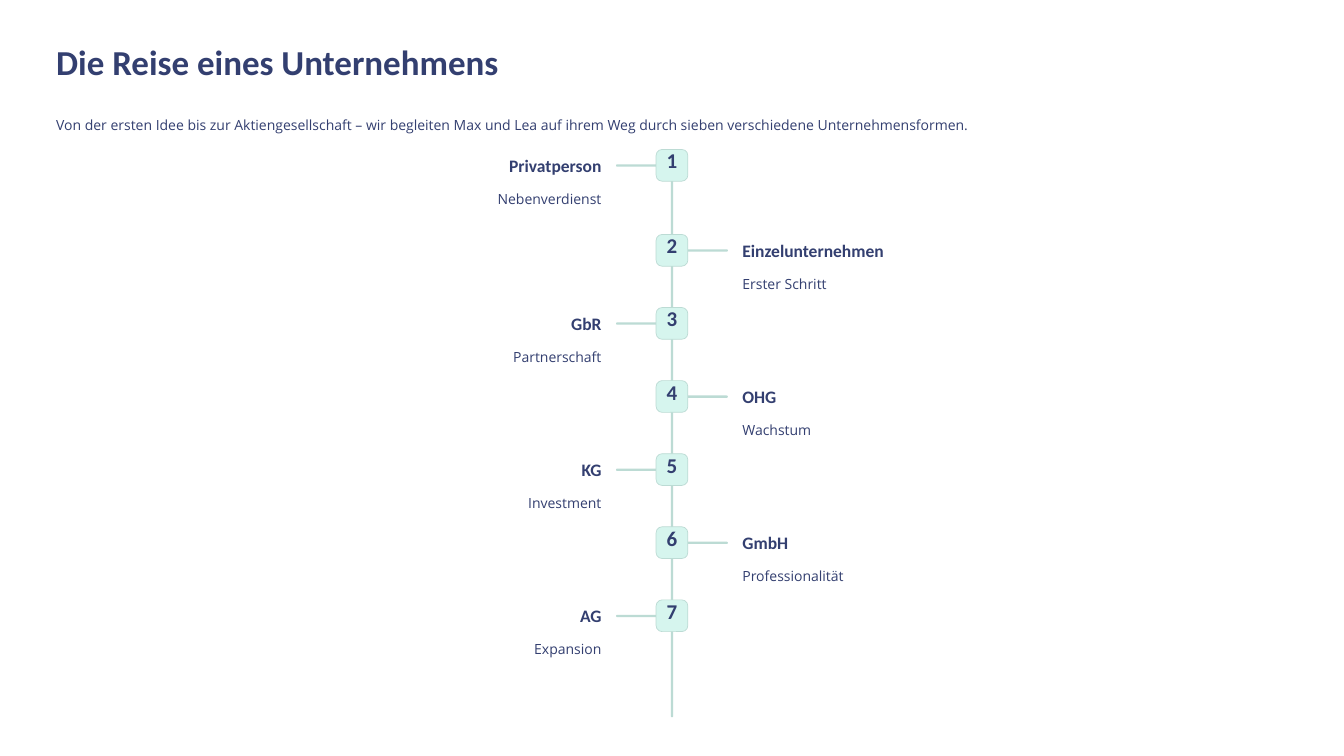
"""Build a slide with a centred timeline of seven company forms."""
from dataclasses import dataclass

from pptx import Presentation
from pptx.dml.color import RGBColor
from pptx.enum.shapes import MSO_SHAPE
from pptx.enum.text import PP_ALIGN
from pptx.slide import Slide
from pptx.util import Cm, Pt

ROUNDED = MSO_SHAPE.ROUNDED_RECTANGLE
LEFT, CENTER, RIGHT = PP_ALIGN.LEFT, PP_ALIGN.CENTER, PP_ALIGN.RIGHT

COLORS = {"background": "FFFFFF", "text": "333F70", "line": "BCDBD4", "badge": "D6F5EE"}
FORMATS = {
    "title": {"name": "Calibri", "size": Pt(30), "bold": True},
    "body": {"name": "Open Sans", "size": Pt(12), "bold": False},
    "number": {"name": "Calibri", "size": Pt(18), "bold": True},
    "stage": {"name": "Calibri", "size": Pt(15), "bold": True},
}
LINE_SPACING = {"title": 37.5, "body": 19, "number": 18, "stage": 18.5}

SLIDE_WIDTH, SLIDE_HEIGHT = 40.64, 22.86
MARGIN = 1.7
AXIS = SLIDE_WIDTH / 2
TIMELINE_TOP, TIMELINE_HEIGHT = 4.52, 17.17
SECOND_TOP, STEP = 7.09, 2.21
STROKE = 0.07
BADGE_SIZE = 0.96
NUMBER_WIDTH = 0.64
ARM_GAP, ARM_LENGTH = 0.42, 1.27
LABEL_GAP, DETAIL_WIDTH = 2.13, 16.48


@dataclass(frozen=True)
class Stage:
    name: str
    detail: str
    name_width: float = 5.33


@dataclass(frozen=True)
class Box:
    left: float
    top: float
    width: float
    height: float


STAGES = [
    Stage("Privatperson", "Nebenverdienst"),
    Stage("Einzelunternehmen", "Erster Schritt", 6.45),
    Stage("GbR", "Partnerschaft"),
    Stage("OHG", "Wachstum"),
    Stage("KG", "Investment"),
    Stage("GmbH", "Professionalität"),
    Stage("AG", "Expansion"),
]


def add_text(slide: Slide, box: Box, text: str, style: str, alignment: PP_ALIGN = LEFT) -> None:
    shape = slide.shapes.add_textbox(Cm(box.left), Cm(box.top), Cm(box.width), Cm(box.height))
    frame = shape.text_frame
    frame.word_wrap = True
    for side in ("left", "top", "right", "bottom"):
        setattr(frame, f"margin_{side}", 0)
    paragraph = frame.paragraphs[0]
    paragraph.alignment = alignment
    paragraph.line_spacing = Pt(LINE_SPACING[style])
    run = paragraph.add_run()
    run.text = text
    for attribute, value in FORMATS[style].items():
        setattr(run.font, attribute, value)
    run.font.color.rgb = RGBColor.from_string(COLORS["text"])


def add_rounded(slide: Slide, box: Box, fill: str, corner: float, outlined: bool = False) -> None:
    shape = slide.shapes.add_shape(ROUNDED, Cm(box.left), Cm(box.top), Cm(box.width), Cm(box.height))
    shape.shadow.inherit = False
    shape.adjustments[0] = corner
    shape.fill.solid()
    shape.fill.fore_color.rgb = RGBColor.from_string(COLORS[fill])
    if outlined:
        shape.line.color.rgb = RGBColor.from_string(COLORS["line"])
        shape.line.width = Pt(0.6)
    else:
        shape.line.fill.background()


def beside_axis(on_left: bool, gap: float, top: float, width: float, height: float) -> Box:
    left = AXIS - gap - width if on_left else AXIS + gap
    return Box(left, top, width, height)


def add_stage(slide: Slide, index: int, stage: Stage) -> None:
    top = SECOND_TOP + (index - 1) * STEP if index else TIMELINE_TOP
    on_left = index % 2 == 0
    alignment = RIGHT if on_left else LEFT
    add_rounded(slide, beside_axis(on_left, ARM_GAP, top + 0.45, ARM_LENGTH, STROKE), "line", 0.5)
    badge = Box(AXIS - BADGE_SIZE / 2, top, BADGE_SIZE, BADGE_SIZE)
    add_rounded(slide, badge, "badge", 0.19, outlined=True)
    number = Box(AXIS - NUMBER_WIDTH / 2, top + 0.08, NUMBER_WIDTH, 0.79)
    add_text(slide, number, str(index + 1), "number", CENTER)
    name = beside_axis(on_left, LABEL_GAP, top + 0.15, stage.name_width, 0.66)
    add_text(slide, name, stage.name, "stage", alignment)
    detail = beside_axis(on_left, LABEL_GAP, top + 1.07, DETAIL_WIDTH, 0.69)
    add_text(slide, detail, stage.detail, "body", alignment)


def main() -> None:
    presentation = Presentation()
    presentation.slide_width = Cm(SLIDE_WIDTH)
    presentation.slide_height = Cm(SLIDE_HEIGHT)
    slide = presentation.slides.add_slide(presentation.slide_layouts[6])
    slide.background.fill.solid()
    slide.background.fill.fore_color.rgb = RGBColor.from_string(COLORS["background"])

    add_text(slide, Box(MARGIN, 1.17, 19.94, 1.35), "Die Reise eines Unternehmens", "title")
    add_text(
        slide,
        Box(MARGIN, 3.35, SLIDE_WIDTH - 2 * MARGIN, 0.69),
        "Von der ersten Idee bis zur Aktiengesellschaft – wir begleiten Max und Lea "
        "auf ihrem Weg durch sieben verschiedene Unternehmensformen.",
        "body",
    )
    spine = Box(AXIS - STROKE / 2, TIMELINE_TOP, STROKE, TIMELINE_HEIGHT)
    add_rounded(slide, spine, "line", 0.5)
    for index, stage in enumerate(STAGES):
        add_stage(slide, index, stage)
    presentation.save("out.pptx")


if __name__ == "__main__":
    main()
